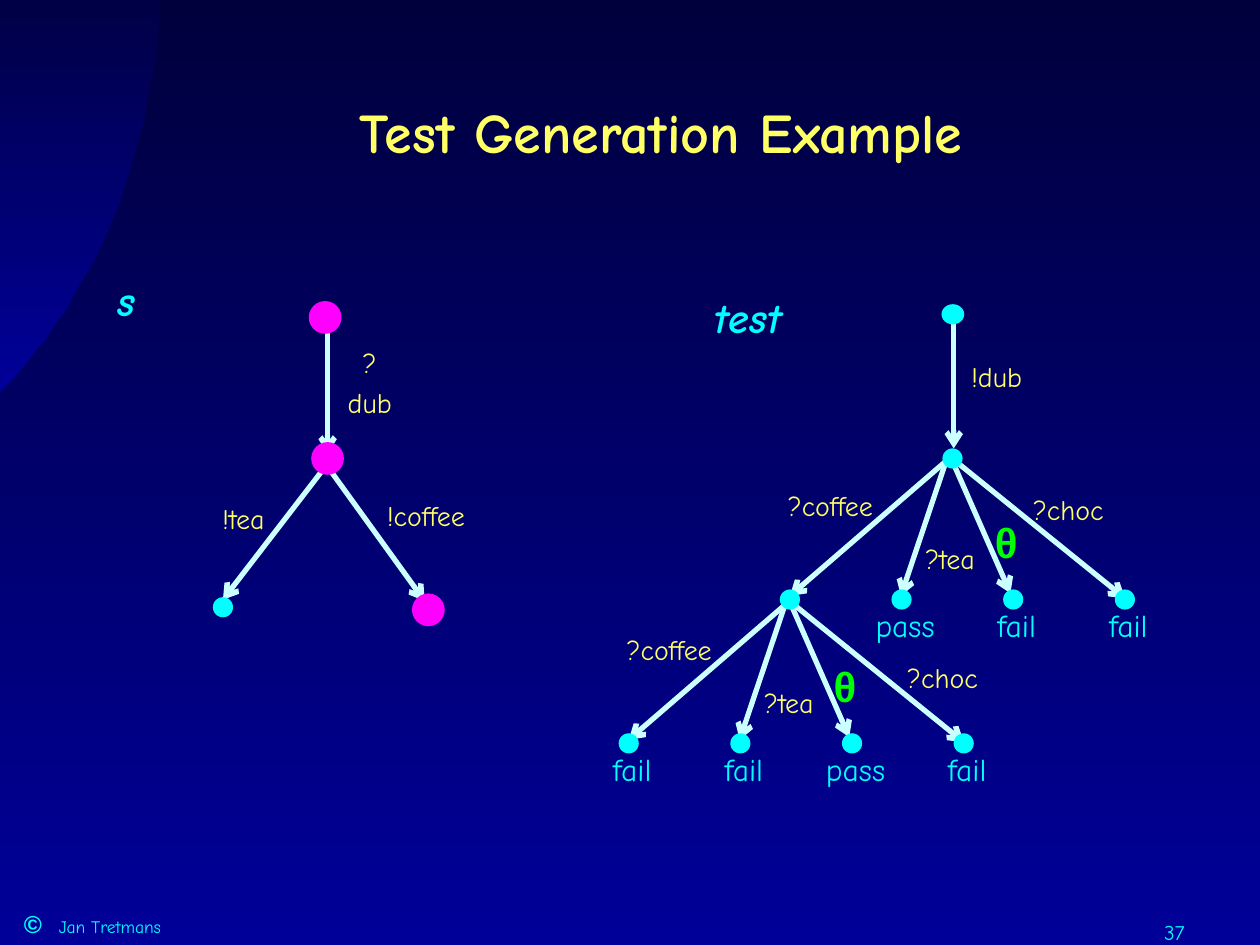
from lxml import etree
from pptx import Presentation
from pptx.dml.color import RGBColor
from pptx.enum.shapes import MSO_CONNECTOR, MSO_SHAPE
from pptx.enum.text import MSO_ANCHOR, MSO_AUTO_SIZE, PP_ALIGN
from pptx.oxml.ns import qn
from pptx.util import Pt

CENTER, RIGHT, LEFT = PP_ALIGN.CENTER, PP_ALIGN.RIGHT, PP_ALIGN.LEFT
MIDDLE, TOP = MSO_ANCHOR.MIDDLE, MSO_ANCHOR.TOP
STRAIGHT, DOT = MSO_CONNECTOR.STRAIGHT, MSO_SHAPE.FLOWCHART_CONNECTOR

NIGHT = RGBColor(0x00, 0x00, 0x3C)
DUSK = RGBColor(0x00, 0x00, 0x47)
BLUE = RGBColor(0x00, 0x00, 0x99)
CYAN = RGBColor(0x00, 0xFF, 0xFF)
PALE = RGBColor(0xCC, 0xFF, 0xFF)
YELLOW = RGBColor(0xFF, 0xFF, 0x66)
GREEN = RGBColor(0x00, 0xFF, 0x00)
MAGENTA = RGBColor(0xFF, 0x00, 0xFF)

COMIC, ARIAL = "Comic Neue", "Arial"
TITLE = "Test Generation Example"
AUTHOR, PAGE_NUMBER = "Jan Tretmans", "37"

# Style: font values, line spacing, box height
STYLES = {
    "action": (dict(name=COMIC, size=Pt(16)), YELLOW, 1.2, 30),
    "verdict": (dict(name=COMIC, size=Pt(18)), CYAN, 1.0, 29),
    "theta": (dict(name=ARIAL, size=Pt(24), bold=True), GREEN, 1.2, 42),
    "name": (dict(name=COMIC, size=Pt(24), bold=True, italic=True), CYAN, 1.2, 42),
}

# Parts placed on their own: text, style, centre
LABELS = [
    ("s", "name", 72, 168.5), ("test", "name", 427.3, 177.8),
    ("?dub", "action", 211.3, 216.4), ("!dub", "action", 569.5, 213.1),
    ("!tea", "action", 139, 294.5), ("!coffee", "action", 243.4, 292.3),
]
EDGES = [
    (187.2, 182.2, 187.2, 259.2), (189.4, 262.1, 127.4, 342.7),
    (186.5, 265.7, 242.6, 343.4), (545, 180, 545, 256.3),
]
# Colour, centre, width, height
SMALL, BIG = 11.5, 18.7
NODES = [
    (CYAN, 127.4, 347, SMALL, SMALL), (CYAN, 544.5, 179.6, 13, SMALL),
    (CYAN, 544.3, 262, SMALL, SMALL), (MAGENTA, 185.8, 181.4, BIG, BIG),
    (MAGENTA, 187.2, 262, BIG, BIG), (MAGENTA, 244.8, 348.5, BIG, BIG),
]

# Fans of four branches: hub, place of the ?choc label, verdicts
FANS = [
    ((452.2, 344.2), (86.4, 41), ["fail", "fail", "pass", "fail"]),
    ((544.3, 262), (66.2, 27.4), [None, "pass", "fail", "fail"]),
]
# All measured from the hub
FAN_EDGES = [
    (1.4, -2.9, -92.9, 78.5), (-2.2, -2.9, -29.5, 78.5),
    (-0.7, 0, 33.1, 77), (0.7, 0.7, 98.6, 79.9),
]
FAN_LABELS = [
    ("?coffee", "action", -69.8, 24.8), ("?tea", "action", -1.4, 55),
    ("θ", "theta", 30.6, 44.6),
]
LEAF_X, LEAF_GAP, LEAF_Y, VERDICT_Y = -92.9, 63.8, 80.6, 95.3

# Bezier points of the corner arc
ARC = [(0, 224), (54.7, 168.5), (87.8, 86.4), (91.5, 0)]
ARC_STEPS = 24


def set_gradient(fill, top, bottom):
    fill.gradient()
    fill.gradient_angle = 270
    for stop, color in zip(fill.gradient_stops, (top, bottom)):
        stop.color.rgb = color


def set_font(font, values, color):
    for key, value in values.items():
        setattr(font, key, value)
    font.color.rgb = color


def add_arc(page):
    points = []
    for step in range(ARC_STEPS + 1):
        t = step / ARC_STEPS
        weights = ((1 - t) ** 3, 3 * t * (1 - t) ** 2, 3 * t * t * (1 - t), t ** 3)
        points.append(tuple(sum(w * p[axis] for w, p in zip(weights, ARC)) for axis in (0, 1)))
    builder = page.shapes.build_freeform(0, 0, scale=Pt(1))
    builder.add_line_segments(points, close=True)
    arc = builder.convert_to_shape()
    arc.shadow.inherit = False
    arc.line.fill.background()
    set_gradient(arc.fill, DUSK, BLUE)


def add_box(page, left, top, width, height, anchor, align, wrap):
    box = page.shapes.add_textbox(Pt(left), Pt(top), Pt(width), Pt(height))
    frame = box.text_frame
    frame.word_wrap = wrap
    frame.vertical_anchor = anchor
    paragraph = frame.paragraphs[0]
    paragraph.alignment = align
    return paragraph


def add_span(paragraph, text, values, color):
    span = paragraph.add_run()
    span.text = text
    set_font(span.font, values, color)


def add_label(page, text, style, x, y):
    """Place a label by its centre."""
    values, color, spacing, height = STYLES[style]
    width = 15 + 0.5 * values["size"].pt * len(text)
    paragraph = add_box(page, x - width / 2, y - height / 2, width, height, MIDDLE, CENTER, False)
    paragraph.line_spacing = spacing
    add_span(paragraph, text, values, color)


def add_arrow(page, *ends):
    arrow = page.shapes.add_connector(STRAIGHT, *map(Pt, ends))
    arrow.line.color.rgb = PALE
    arrow.line.width = Pt(3)
    etree.SubElement(arrow.line._get_or_add_ln(), qn("a:tailEnd"), type="arrow")
    etree.SubElement(arrow._element.spPr, qn("a:effectLst"))


def add_node(page, color, x, y, width, height):
    node = page.shapes.add_shape(DOT, Pt(x - width / 2), Pt(y - height / 2), Pt(width), Pt(height))
    node.shadow.inherit = False
    node.fill.solid()
    node.fill.fore_color.rgb = color
    node.line.fill.background()


def add_title(page):
    title = page.shapes.title
    title.left, title.top, title.width, title.height = Pt(72), Pt(30), Pt(612), Pt(90)
    frame = title.text_frame
    frame.auto_size = MSO_AUTO_SIZE.NONE
    frame.vertical_anchor = MIDDLE
    paragraph = frame.paragraphs[0]
    paragraph.alignment = CENTER
    add_span(paragraph, TITLE, dict(name=COMIC, size=Pt(32), bold=True), YELLOW)


def add_footer(page):
    credit = add_box(page, 6.5, 516, 350, 24, TOP, LEFT, True)
    tabs = etree.SubElement(credit._p.get_or_add_pPr(), qn("a:tabLst"))
    etree.SubElement(tabs, qn("a:tab"), pos=str(Pt(20)), algn="l")
    add_span(credit, "©", dict(name=ARIAL, size=Pt(14), bold=True), CYAN)
    add_span(credit, "\t" + AUTHOR, dict(name=COMIC, size=Pt(10)), CYAN)
    number = add_box(page, 618, 522, 66, 18, TOP, RIGHT, True)
    add_span(number, PAGE_NUMBER, dict(name=COMIC, size=Pt(12)), CYAN)


def main():
    deck = Presentation()
    deck.slide_width, deck.slide_height = Pt(720), Pt(540)
    page = deck.slides.add_slide(deck.slide_layouts[5])
    set_gradient(page.background.fill, NIGHT, BLUE)
    add_arc(page)
    add_title(page)
    add_footer(page)

    edges, labels, nodes = list(EDGES), list(LABELS), []
    for (x, y), choc, verdicts in FANS:
        edges += [(x + a, y + b, x + c, y + d) for a, b, c, d in FAN_EDGES]
        labels += [(text, style, x + dx, y + dy)
                   for text, style, dx, dy in FAN_LABELS + [("?choc", "action", *choc)]]
        for index, verdict in enumerate(verdicts):
            leaf = x + LEAF_X + index * LEAF_GAP
            nodes.append((CYAN, leaf, y + LEAF_Y, SMALL, SMALL))
            if verdict:
                labels.append((verdict, "verdict", leaf + 2, y + VERDICT_Y))

    for add, parts in ((add_arrow, edges), (add_label, labels), (add_node, nodes + NODES)):
        for part in parts:
            add(page, *part)
    deck.save("out.pptx")


if __name__ == "__main__":
    main()
